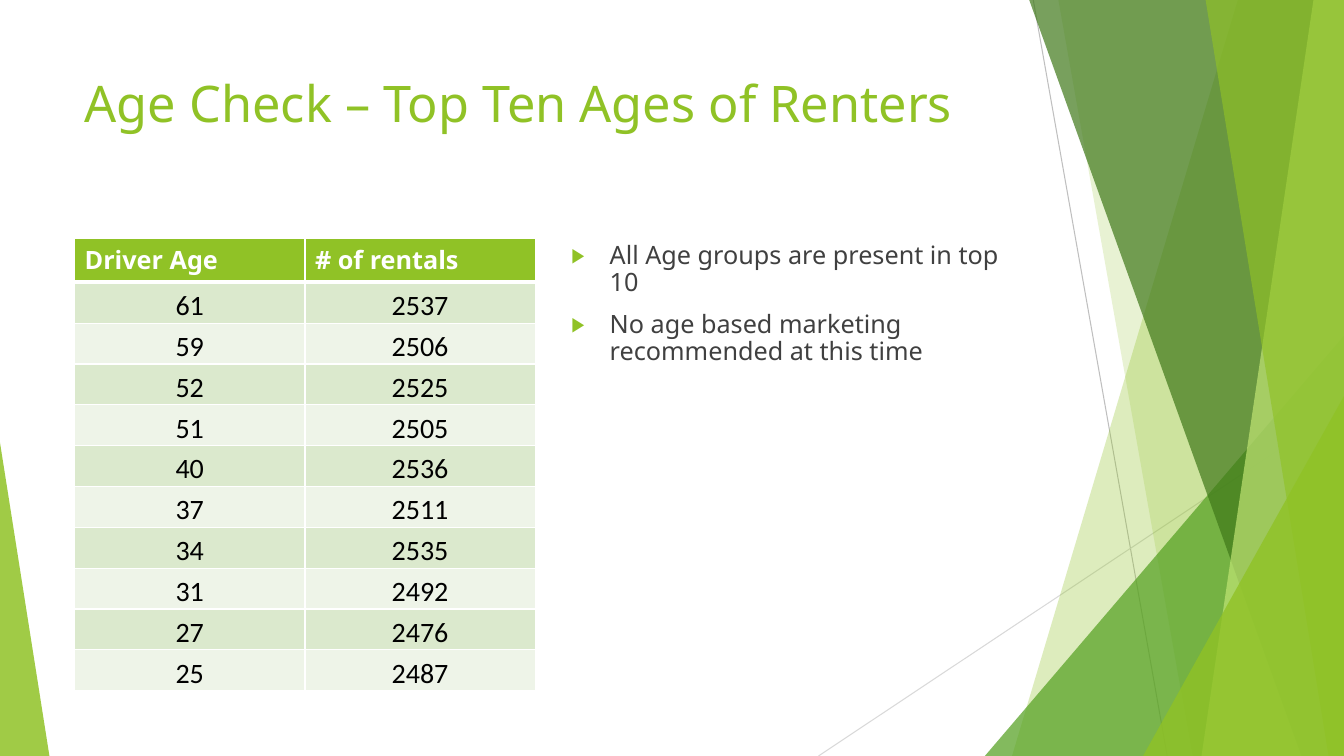
from dataclasses import dataclass

from lxml.etree import SubElement
from pptx import Presentation
from pptx.dml.color import RGBColor
from pptx.enum.shapes import MSO_CONNECTOR, MSO_SHAPE
from pptx.enum.text import MSO_ANCHOR, MSO_AUTO_SIZE, PP_ALIGN
from pptx.oxml.ns import qn
from pptx.util import Inches, Pt


@dataclass(frozen=True)
class Theme:
    green: str = "90C226"
    leaf: str = "54A021"
    forest: str = "3F7819"
    lime: str = "C0E474"
    white: str = "FFFFFF"
    black: str = "000000"
    body_text: str = "404040"
    dark_band: str = "DBE9CD"
    light_band: str = "EEF4E8"
    near_line: str = "BFBFBF"
    far_line: str = "D9D9D9"
    font: str = "Noto Sans"
    number_font: str = "Calibri"
    title_size: int = 36
    body_size: int = 18
    number_size: int = 20


@dataclass(frozen=True)
class Box:
    left: int
    top: int
    width: int
    height: int

    def point(self, across, down):
        return (int(self.left + self.width * across / 100),
                int(self.top + self.height * down / 100))

    def region(self, across, down, width, height):
        return Box(*self.point(across, down),
                   int(self.width * width / 100), int(self.height * height / 100))

    @property
    def frame(self):
        return self.left, self.top, self.width, self.height


THEME = Theme()

GUIDE_LINES = [
    ((76.88, 0), (86.85, 100), THEME.near_line),
    ((100, 53.73), (60.9, 100), THEME.far_line),
]
BACK_FACETS = [(92.1, 75.3, THEME.green, 30), (78.75, 88.73, THEME.green, 20)]
FRONT_FACETS = [
    (76.58, 96.83, THEME.forest, 70),
    (97.73, 89.4, THEME.lime, 70),
    (89.7, 98.85, THEME.green, 65),
]
BACK_CORNER = ((73.28, 44.4, 26.72, 55.6), 1, THEME.leaf, 72)
FRONT_CORNERS = [
    ((85.05, 52.4, 14.95, 47.6), 1, THEME.green, 80),
    ((0, 58.53, 3.68, 41.47), 0, THEME.green, 85),
]
RENTALS = [
    ("Driver Age", "# of rentals"),
    (61, 2537), (59, 2506), (52, 2525), (51, 2505), (40, 2536),
    (37, 2511), (34, 2535), (31, 2492), (27, 2476), (25, 2487),
]
FINDINGS = [
    "All Age groups are present in top 10",
    "No age based marketing recommended at this time",
]


def apply_format(target, values):
    for name, value in values.items():
        setattr(target, name, value)


def write_text(paragraph, text, size, color, font=THEME.font, bold=False):
    run = paragraph.add_run()
    run.text = text
    apply_format(run.font, {"size": Pt(size), "name": font, "bold": bold})
    run.font.color.rgb = RGBColor.from_string(color)


def paint(shape, color, opacity):
    shape.shadow.inherit = False
    shape.fill.solid()
    shape.fill.fore_color.rgb = RGBColor.from_string(color)
    shape.line.fill.background()
    color_element = shape._element.spPr.find(".//" + qn("a:srgbClr"))
    SubElement(color_element, qn("a:alpha"), val=str(opacity * 1000))


def add_facet(slide, box, top, bottom, color, opacity):
    builder = slide.shapes.build_freeform(*box.point(top, 0), scale=1.0)
    corners = [(100, 0), (100, 100), (bottom, 100)]
    builder.add_line_segments([box.point(*corner) for corner in corners], close=True)
    paint(builder.convert_to_shape(), color, opacity)


def add_corner(slide, box, area, apex, color, opacity):
    triangle = slide.shapes.add_shape(MSO_SHAPE.ISOSCELES_TRIANGLE, *box.region(*area).frame)
    triangle.adjustments[0] = apex
    paint(triangle, color, opacity)


def add_backdrop(slide, box):
    for start, end, color in GUIDE_LINES:
        connector = slide.shapes.add_connector(
            MSO_CONNECTOR.STRAIGHT, *box.point(*start), *box.point(*end))
        connector.line.color.rgb = RGBColor.from_string(color)
        connector.line.width = Pt(0.75)
        SubElement(connector._element.spPr, qn("a:effectLst"))
    for facet in BACK_FACETS:
        add_facet(slide, box, *facet)
    add_corner(slide, box, *BACK_CORNER)
    for facet in FRONT_FACETS:
        add_facet(slide, box, *facet)
    for corner in FRONT_CORNERS:
        add_corner(slide, box, *corner)


def add_title(slide, box, text):
    title = slide.shapes.title
    apply_format(title, dict(zip(("left", "top", "width", "height"), box.frame)))
    apply_format(title.text_frame, {
        "vertical_anchor": MSO_ANCHOR.TOP, "word_wrap": True,
        "auto_size": MSO_AUTO_SIZE.NONE})
    paragraph = title.text_frame.paragraphs[0]
    paragraph.alignment = PP_ALIGN.LEFT
    write_text(paragraph, text, THEME.title_size, THEME.green)


def add_borders(cell, bottom_width):
    properties = cell._tc.get_or_add_tcPr()
    for side, width in (("L", 1), ("R", 1), ("T", 1), ("B", bottom_width)):
        line = SubElement(properties, qn("a:ln" + side), w=str(Pt(width)))
        fill = SubElement(line, qn("a:solidFill"))
        SubElement(fill, qn("a:srgbClr"), val=THEME.white)


def add_rentals_table(slide, box, records):
    table = slide.shapes.add_table(len(records), len(records[0]), *box.frame).table
    table.horz_banding = False
    hair = Inches(0.01)
    number_cell = {"vertical_anchor": MSO_ANCHOR.BOTTOM, "margin_left": hair,
                   "margin_right": hair, "margin_top": hair, "margin_bottom": 0}
    for row, record in enumerate(records):
        for column, value in enumerate(record):
            cell = table.cell(row, column)
            paragraph = cell.text_frame.paragraphs[0]
            if row == 0:
                band = THEME.green
                write_text(paragraph, value, THEME.body_size, THEME.white, bold=True)
            else:
                band = THEME.dark_band if row % 2 else THEME.light_band
                apply_format(cell, number_cell)
                paragraph.alignment = PP_ALIGN.CENTER
                write_text(paragraph, str(value), THEME.number_size, THEME.black,
                           THEME.number_font)
            add_borders(cell, 1 if row else 3)
            cell.fill.solid()
            cell.fill.fore_color.rgb = RGBColor.from_string(band)


def add_bullet(paragraph):
    properties = paragraph._p.get_or_add_pPr()
    indent = Inches(0.38)
    properties.set("marL", str(indent))
    properties.set("indent", str(-indent))
    color = SubElement(properties, qn("a:buClr"))
    SubElement(color, qn("a:srgbClr"), val=THEME.green)
    SubElement(properties, qn("a:buSzPct"), val="80000")
    SubElement(properties, qn("a:buFont"), typeface=THEME.font)
    SubElement(properties, qn("a:buChar"), char="▶")


def add_findings(slide, box, findings):
    text_frame = slide.shapes.add_textbox(*box.frame).text_frame
    text_frame.word_wrap = True
    for index, finding in enumerate(findings):
        paragraph = text_frame.add_paragraph() if index else text_frame.paragraphs[0]
        apply_format(paragraph, {"line_spacing": 0.9, "space_before": Pt(10 if index else 0)})
        add_bullet(paragraph)
        write_text(paragraph, finding, THEME.body_size, THEME.body_text)


def build_age_slide(presentation):
    slide = presentation.slides.add_slide(presentation.slide_layouts[5])
    page = Box(0, 0, presentation.slide_width, presentation.slide_height)
    add_backdrop(slide, page)
    add_title(slide, page.region(5.55, 8.93, 70.5, 19.2), "Age Check – Top Ten Ages of Renters")
    add_rentals_table(slide, page.region(5.55, 31.47, 34.28, 59.47), RENTALS)
    add_findings(slide, page.region(41.78, 31.47, 34.35, 56.53), FINDINGS)


presentation = Presentation()
apply_format(presentation, {"slide_width": Inches(13.33), "slide_height": Inches(7.5)})
build_age_slide(presentation)
presentation.save("out.pptx")
